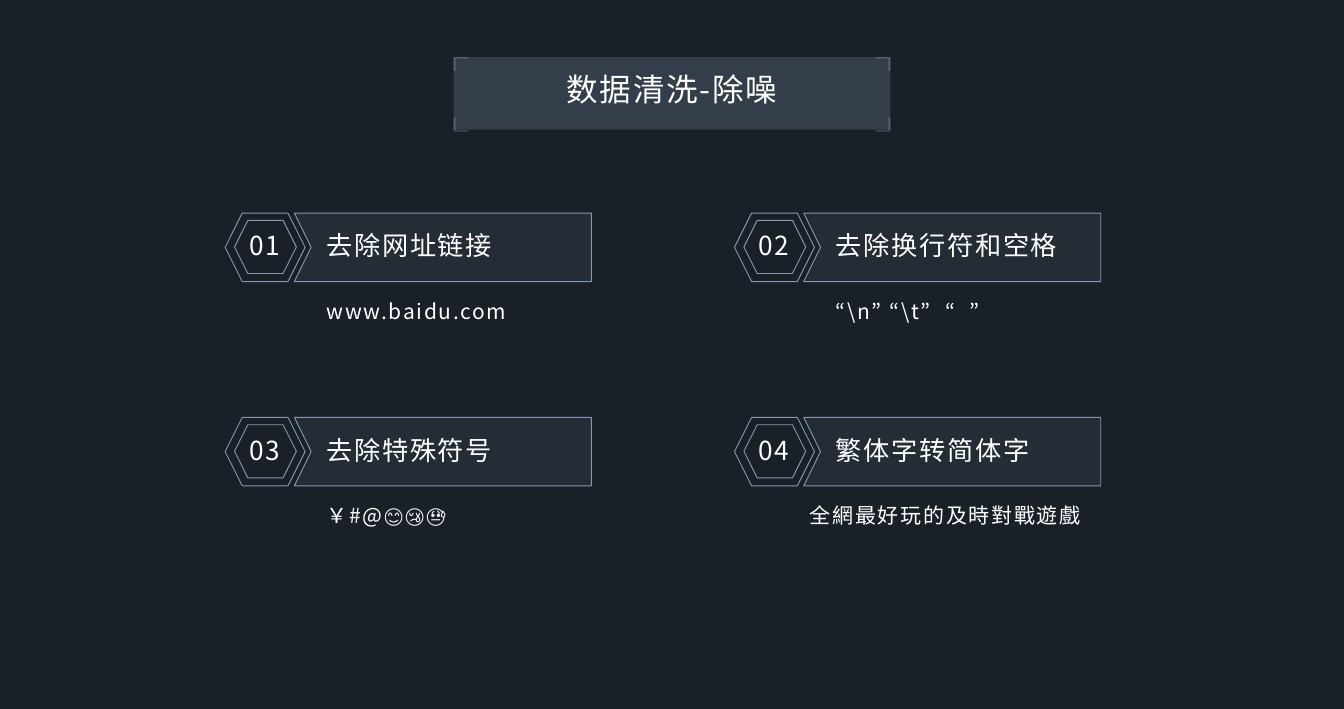
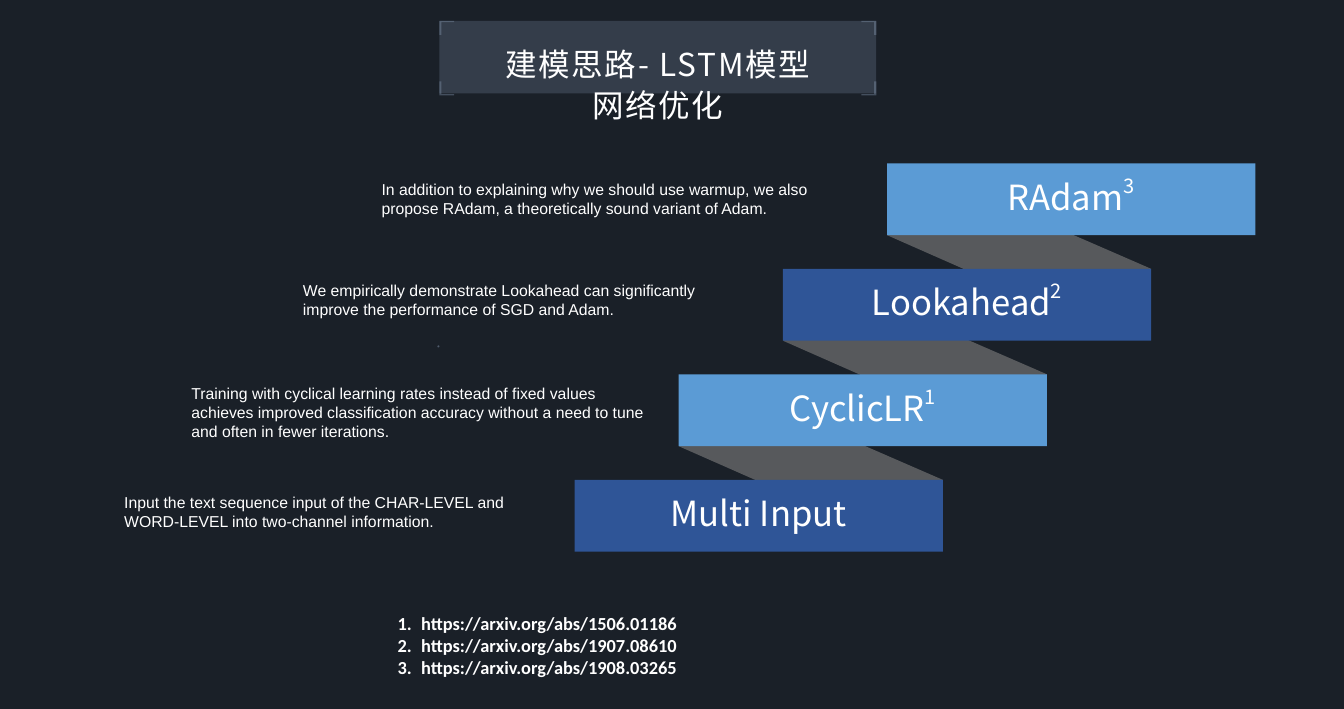
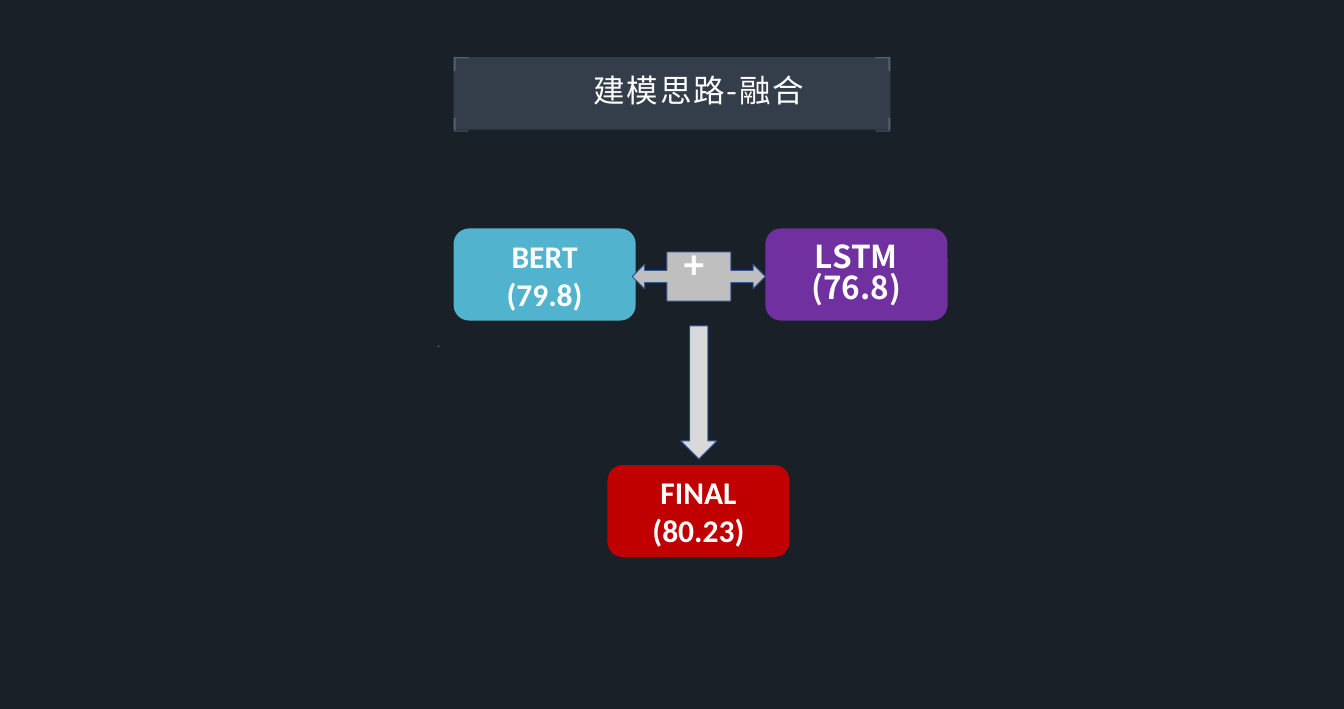
from dataclasses import dataclass
from itertools import product
from typing import Optional

from pptx import Presentation
from pptx.dml.color import RGBColor
from pptx.enum.shapes import MSO_SHAPE
from pptx.enum.text import MSO_ANCHOR, MSO_AUTO_SIZE, PP_ALIGN
from pptx.oxml.ns import qn
from pptx.oxml.xmlchemy import OxmlElement
from pptx.presentation import Presentation as Deck
from pptx.shapes.base import BaseShape
from pptx.slide import Slide
from pptx.text.text import TextFrame
from pptx.util import Pt

PX = 9144
SLIDE_WIDTH, SLIDE_HEIGHT = 2000, 1055


@dataclass(frozen=True)
class Theme:
    background: str = "1A2028"
    text: str = "FFFFFF"
    steel: str = "8497B0"
    ribbon: str = "808080"
    dark_step: str = "2F5597"
    light_step: str = "5B9BD5"
    bert: str = "51B3CD"
    lstm: str = "7030A0"
    final: str = "C00000"
    arrow: str = "D9D9D9"
    callout: str = "BFBFBF"
    arrow_line: str = "325491"
    chinese: str = "Noto Sans CJK SC"
    numerals: str = "Noto Sans CJK JP"
    prose: str = "Arial"
    labels: str = "Calibri"
    title_size: float = 33.8
    heading_size: float = 28.1
    caption_size: float = 22.5
    step_size: float = 37.1
    prose_size: float = 16.9
    reference_size: float = 19.7
    plus_size: float = 39.4
    tracking: float = 1.8
    loose: float = 1.1
    tight: float = 0.84


THEME = Theme()


@dataclass(frozen=True)
class Box:
    left: int
    top: int
    width: int
    height: int

    def shifted(self, right: int, down: int) -> "Box":
        return Box(self.left + right, self.top + down, self.width, self.height)

    def emu(self) -> tuple[int, int, int, int]:
        return self.left * PX, self.top * PX, self.width * PX, self.height * PX


@dataclass(frozen=True)
class CleaningRule:
    heading: str
    example: str
    example_font: str = THEME.numerals
    example_shift: int = 0


@dataclass(frozen=True)
class Step:
    name: str
    reference: str
    fill: str
    description: str
    description_box: Box


@dataclass(frozen=True)
class Model:
    name: str
    score: str
    fill: str
    box: Box
    font: str = THEME.labels
    spacing: float = 1.0


CLEANING_RULES = [
    CleaningRule("去除网址链接", "www.baidu.com"),
    CleaningRule("去除换行符和空格", r"“\n” “\t”  “  ”"),
    CleaningRule("去除特殊符号", "￥#@😊😢😓"),
    CleaningRule("繁体字转简体字", "全網最好玩的及時對戰遊戲", THEME.chinese, -39),
]

STEPS = [
    Step("Multi Input", "", THEME.dark_step,
         "Input the text sequence input of the CHAR-LEVEL and WORD-LEVEL "
         "into two-channel information.", Box(175, 728, 671, 67)),
    Step("CyclicLR", "1", THEME.light_step,
         "Training with cyclical learning rates instead of fixed values achieves improved "
         "classification accuracy without a need to tune and often in fewer iterations.",
         Box(275, 566, 716, 95)),
    Step("Lookahead", "2", THEME.dark_step,
         "We empirically demonstrate Lookahead can significantly improve the performance "
         "of SGD and Adam.", Box(441, 413, 675, 67)),
    Step("RAdam", "3", THEME.light_step,
         "In addition to explaining why we should use warmup, we also propose RAdam, "
         "a theoretically sound variant of Adam.", Box(558, 262, 695, 67)),
]

REFERENCES = [
    "https://arxiv.org/abs/1506.01186",
    "https://arxiv.org/abs/1907.08610",
    "https://arxiv.org/abs/1908.03265",
]

MODELS = [
    Model("BERT", "(79.8)", THEME.bert, Box(675, 340, 271, 137)),
    Model("LSTM", "(76.8)", THEME.lstm, Box(1139, 340, 271, 137), THEME.chinese, THEME.tight),
    Model("FINAL", "(80.23)", THEME.final, Box(904, 692, 271, 137)),
]


def write(frame: TextFrame, *lines: str, size: float, font: str = THEME.chinese,
          bold: bool = False, align: PP_ALIGN = PP_ALIGN.LEFT, spacing: float = 1.0,
          tracking: float = 0, anchor: MSO_ANCHOR = MSO_ANCHOR.TOP,
          superscript: str = "", numbered_indent: int = 0) -> None:
    frame.word_wrap = True
    frame.auto_size = MSO_AUTO_SIZE.NONE
    frame.vertical_anchor = anchor
    for index, line in enumerate(lines):
        paragraph = frame.add_paragraph() if index else frame.paragraphs[0]
        paragraph.alignment = align
        paragraph.line_spacing = spacing
        paragraph.space_before = Pt(0)
        if numbered_indent:
            number_paragraph(paragraph, numbered_indent)
        for part in filter(None, (line, superscript)):
            run = paragraph.add_run()
            run.text = part
            run.font.size = Pt(size)
            run.font.bold = bold
            run.font.color.rgb = RGBColor.from_string(THEME.text)
            run.font.name = font
            properties = run.font._element
            east_asian = OxmlElement("a:ea")
            east_asian.set("typeface", font)
            properties.append(east_asian)
            if tracking:
                properties.set("spc", str(round(tracking * 100)))
            if part is superscript:
                properties.set("baseline", "50000")


def number_paragraph(paragraph, indent: int) -> None:
    properties = paragraph._p.get_or_add_pPr()
    properties.set("marL", str(indent * PX))
    properties.set("indent", str(-indent * PX))
    numbering = OxmlElement("a:buAutoNum")
    numbering.set("type", "arabicPeriod")
    properties.append(numbering)


def paint(shape: BaseShape, fill: Optional[str] = None, opacity: int = 100,
          line: Optional[str] = None) -> None:
    shape.shadow.inherit = False
    if fill:
        shape.fill.solid()
        shape.fill.fore_color.rgb = RGBColor.from_string(fill)
        if opacity < 100:
            alpha = OxmlElement("a:alpha")
            alpha.set("val", str(opacity * 1000))
            shape._element.spPr.find(qn("a:solidFill"))[0].append(alpha)
    else:
        shape.fill.background()
    if line:
        shape.line.color.rgb = RGBColor.from_string(line)
        shape.line.width = Pt(1)
    else:
        shape.line.fill.background()


def add_preset(slide: Slide, kind: MSO_SHAPE, box: Box, **look) -> BaseShape:
    shape = slide.shapes.add_shape(kind, *box.emu())
    paint(shape, **look)
    return shape


def add_outline(slide: Slide, contours: list[list[tuple[int, int]]], **look) -> None:
    first, *others = contours
    builder = slide.shapes.build_freeform(*first[0], scale=PX)
    builder.add_line_segments(first[1:], close=True)
    for contour in others:
        builder.move_to(*contour[0])
        builder.add_line_segments(contour[1:], close=True)
    paint(builder.convert_to_shape(), **look)


def add_text(slide: Slide, box: Box, *lines: str, **text_format) -> None:
    write(slide.shapes.add_textbox(*box.emu()).text_frame, *lines, **text_format)


def place(shape: BaseShape, box: Box) -> None:
    shape.left, shape.top, shape.width, shape.height = box.emu()


def corner_bracket(x: int, y: int, right: int, down: int) -> list[tuple[int, int]]:
    steps = [(0, 0), (22, 0), (22, 2), (3, 2), (3, 21), (0, 21)]
    return [(x + right * dx, y + down * dy) for dx, dy in steps]


def add_title(slide: Slide, banner: Box, title_box: Box, *lines: str) -> None:
    add_preset(slide, MSO_SHAPE.RECTANGLE, banner, fill=THEME.steel, opacity=25)
    sides = [(banner.left, 1), (banner.left + banner.width, -1)]
    edges = [(banner.top, 1), (banner.top + 111, -1)]
    brackets = [corner_bracket(x, y, right, down)
                for (y, down), (x, right) in product(edges, sides)]
    add_outline(slide, brackets, fill=THEME.steel, opacity=40)
    title = slide.shapes.title
    slide.shapes._spTree.append(title._element)
    place(title, title_box)
    write(title.text_frame, *lines, size=THEME.title_size, align=PP_ALIGN.CENTER,
          spacing=THEME.loose, tracking=THEME.tracking)


def add_dot(slide: Slide) -> None:
    add_preset(slide, MSO_SHAPE.OVAL, Box(651, 514, 3, 3), fill=THEME.steel, opacity=50)


def add_cleaning_rule(slide: Slide, number: int, rule: CleaningRule, x: int, y: int) -> None:
    spaced = {"spacing": THEME.loose, "tracking": THEME.tracking}
    label = [(103, 0), (545, 0), (545, 102), (103, 102), (128, 51)]
    add_outline(slide, [[(x + dx, y + dy) for dx, dy in label]],
                fill=THEME.steel, opacity=10, line=THEME.steel)
    for hexagon in (Box(0, 0, 119, 102), Box(14, 11, 92, 79)):
        add_preset(slide, MSO_SHAPE.HEXAGON, hexagon.shifted(x, y), line=THEME.steel)
    add_text(slide, Box(141 + rule.example_shift, 118, 469, 55).shifted(x, y), rule.example,
             size=THEME.caption_size, font=rule.example_font, **spaced)
    add_text(slide, Box(141, 15, 365, 66).shifted(x, y), rule.heading,
             size=THEME.heading_size, **spaced)
    add_text(slide, Box(7, 15, 104, 66).shifted(x, y), f"{number:02}",
             size=THEME.heading_size, font=THEME.numerals, align=PP_ALIGN.CENTER, **spaced)


def build_cleaning(deck: Deck) -> None:
    slide = deck.slides.add_slide(deck.slide_layouts[5])
    cells = product((317, 621), (335, 1093))
    for number, (rule, (y, x)) in enumerate(zip(CLEANING_RULES, cells), start=1):
        add_cleaning_rule(slide, number, rule, x, y)
    add_title(slide, Box(675, 85, 650, 108), Box(735, 93, 530, 77), "数据清洗-除噪")


def build_optimisation(deck: Deck) -> None:
    slide = deck.slides.add_slide(deck.slide_layouts[1])
    add_title(slide, Box(654, 31, 650, 108), Box(714, 56, 530, 224),
              "建模思路- LSTM模型", "网络优化")
    add_dot(slide)
    stairs = [Box(855, 714, 548, 107).shifted(155 * i, -157 * i) for i in range(len(STEPS))]
    ribbon = [(393, 107), (147, 0), (0, 57), (311, 194)]
    for stair in reversed(stairs[1:]):
        add_outline(slide, [[(stair.left + dx, stair.top + 50 + dy) for dx, dy in ribbon]],
                    fill=THEME.ribbon, opacity=60)
    for step, stair in zip(STEPS, stairs):
        block = add_preset(slide, MSO_SHAPE.RECTANGLE, stair, fill=step.fill)
        write(block.text_frame, step.name, superscript=step.reference, size=THEME.step_size,
              align=PP_ALIGN.CENTER, anchor=MSO_ANCHOR.MIDDLE, spacing=THEME.tight)
        add_text(slide, step.description_box, step.description,
                 size=THEME.prose_size, font=THEME.prose)
    references = slide.placeholders[1]
    place(references, Box(281, 906, 1037, 110))
    write(references.text_frame, *REFERENCES, size=THEME.reference_size, font=THEME.labels,
          bold=True, align=PP_ALIGN.CENTER, numbered_indent=35)


def build_fusion(deck: Deck) -> None:
    slide = deck.slides.add_slide(deck.slide_layouts[5])
    add_title(slide, Box(675, 85, 650, 108), Box(775, 95, 530, 77), "建模思路-融合")
    add_dot(slide)
    for model in MODELS:
        node = add_preset(slide, MSO_SHAPE.ROUNDED_RECTANGLE, model.box, fill=model.fill)
        write(node.text_frame, model.name, model.score, size=THEME.title_size,
              font=model.font, bold=True, align=PP_ALIGN.CENTER,
              anchor=MSO_ANCHOR.MIDDLE, spacing=model.spacing)
    add_preset(slide, MSO_SHAPE.DOWN_ARROW, Box(1013, 485, 54, 198),
               fill=THEME.arrow, line=THEME.arrow_line)
    add_preset(slide, MSO_SHAPE.LEFT_RIGHT_ARROW_CALLOUT, Box(941, 375, 198, 73),
               fill=THEME.callout, line=THEME.arrow_line)
    add_text(slide, Box(1008, 367, 54, 76), "+", size=THEME.plus_size, bold=True,
             spacing=THEME.tight)


def main() -> None:
    deck = Presentation()
    deck.slide_width, deck.slide_height = SLIDE_WIDTH * PX, SLIDE_HEIGHT * PX
    backdrop = deck.slide_master.background.fill
    backdrop.solid()
    backdrop.fore_color.rgb = RGBColor.from_string(THEME.background)
    for build in (build_cleaning, build_optimisation, build_fusion):
        build(deck)
    deck.save("out.pptx")


if __name__ == "__main__":
    main()
